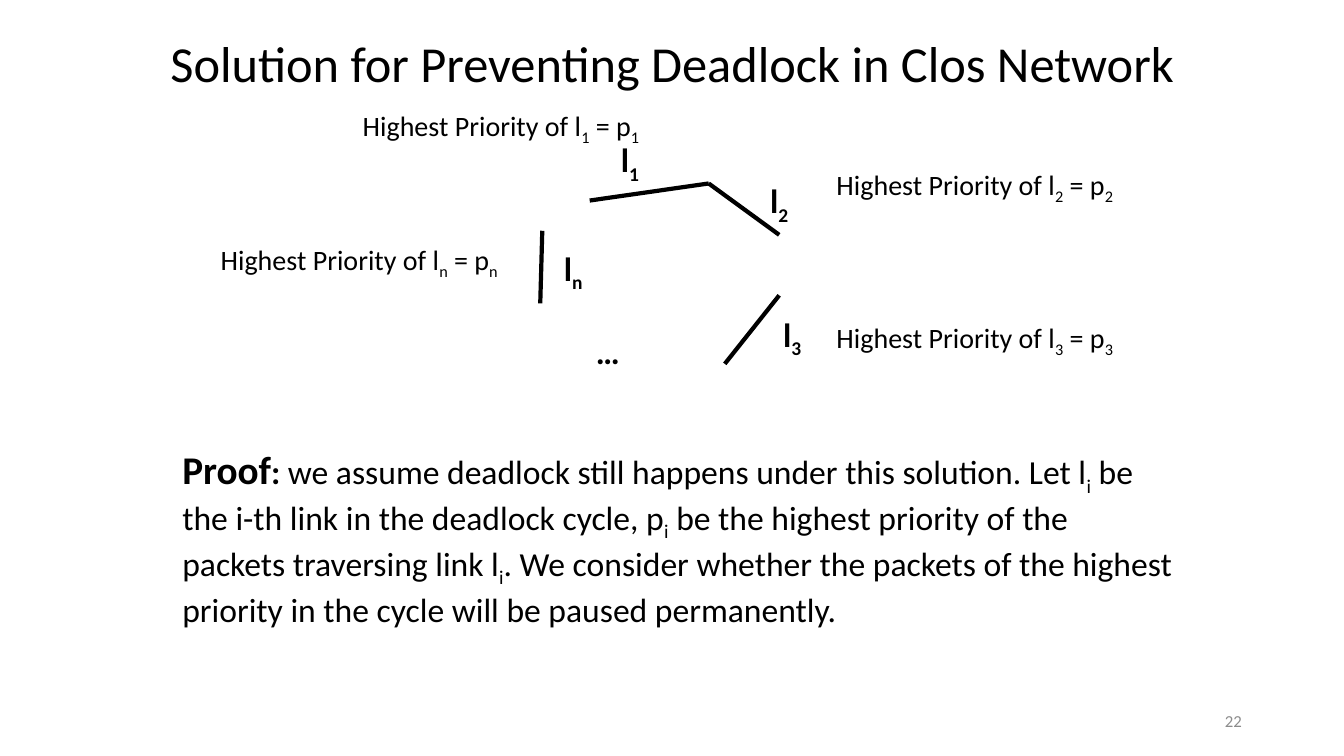
from pptx import Presentation
from pptx.dml.color import RGBColor
from pptx.enum.shapes import MSO_CONNECTOR
from pptx.enum.text import MSO_ANCHOR, MSO_AUTO_SIZE, PP_ALIGN
from pptx.oxml.ns import qn
from pptx.util import Inches, Pt
from lxml.etree import SubElement

FONT = "Calibri"
BLACK = "000000"
GRAY = "8C8C8C"


def color(hex_code):
    return RGBColor.from_string(hex_code)


def add_text(para, text, size=24, bold=False, fill=BLACK):
    """Add spans to the paragraph; the character after each underscore is a subscript."""
    first, *rest = text.split("_")
    pieces = [(first, False)]
    for piece in rest:
        pieces += [(piece[0], True), (piece[1:], False)]
    for words, lowered in pieces:
        if not words:
            continue
        span = para.add_run()
        span.text = words
        span.font.name = FONT
        span.font.size = Pt(size)
        span.font.bold = bold
        span.font.color.rgb = color(fill)
        if lowered:
            span.font._element.set("baseline", "-25000")


class SlidePage:
    """Places elements by percent of the slide's width and height."""

    def __init__(self, deck):
        self.width, self.height = deck.slide_width, deck.slide_height
        self.shapes = deck.slides.add_slide(deck.slide_layouts[6]).shapes

    def across(self, share):
        return round(self.width * share / 100)

    def down(self, share):
        return round(self.height * share / 100)

    def text(self, left, top, width, height, *parts, align=PP_ALIGN.LEFT,
             wrap=True, anchor=MSO_ANCHOR.TOP):
        """Add a box with one paragraph of (text, format) parts."""
        box = self.shapes.add_textbox(self.across(left), self.down(top),
                                      self.across(width), self.down(height))
        frame = box.text_frame
        frame.word_wrap = wrap
        frame.auto_size = MSO_AUTO_SIZE.NONE
        frame.vertical_anchor = anchor
        para = frame.paragraphs[0]
        para.alignment = align
        for words, style in parts:
            add_text(para, words, **style)

    def link(self, start, end):
        line = self.shapes.add_connector(
            MSO_CONNECTOR.STRAIGHT, self.across(start[0]), self.down(start[1]),
            self.across(end[0]), self.down(end[1]))
        line.line.color.rgb = color(BLACK)
        line.line.width = Pt(3)
        SubElement(line._element.spPr, qn("a:effectLst"))

    def link_name(self, left, top, name, width=3):
        self.text(left, top, width, 6.67, (name, {"bold": True}),
                  align=PP_ALIGN.CENTER, wrap=False)

    def priority(self, left, top, index, width=22.88):
        self.text(left, top, width, 5.87,
                  (f"Highest Priority of l_{index} = p_{index}", {"size": 20}), wrap=False)


def main():
    deck = Presentation()
    deck.slide_width, deck.slide_height = Inches(13.33), Inches(7.5)
    page = SlidePage(deck)

    page.text(70.65, 92.67, 22.5, 5.33, ("22", {"size": 12, "fill": GRAY}),
              align=PP_ALIGN.RIGHT, anchor=MSO_ANCHOR.MIDDLE)
    page.text(10.73, 3.6, 78.6, 9.47,
              ("Solution for Preventing Deadlock in Clos Network", {"size": 36}),
              align=PP_ALIGN.CENTER)
    page.text(12.83, 58.27, 75.15, 23.73,
              ("Proof", {"size": 28, "bold": True}),
              (": ", {"bold": True}),
              ("we assume deadlock still happens under this solution. Let l_i be the i-th "
               "link in the deadlock cycle, p_i be the highest priority of the packets "
               "traversing link l_i. We consider whether the packets of the highest "
               "priority in the cycle will be paused permanently.", {}))

    peak = (52.73, 24.27)
    page.link((40.35, 30.53), (40.2, 40.13))
    page.link(peak, (57.98, 31.07))
    page.link((43.88, 26.53), peak)
    page.link((57.98, 39.07), (53.93, 48.13))

    page.link_name(45.38, 17.73, "l_1")
    page.link_name(56.48, 23.2, "l_2")
    page.link_name(57.45, 40.8, "l_3")
    page.link_name(43.58, 43.07, "…", width=3.3)
    page.link_name(41.1, 32.13, "l_n", width=3.08)

    page.priority(26.25, 13.73, "1", width=23.18)
    page.priority(61.5, 21.47, "2")
    page.priority(61.5, 41.73, "3")
    page.priority(15.68, 31.47, "n")

    deck.save("out.pptx")


if __name__ == "__main__":
    main()
